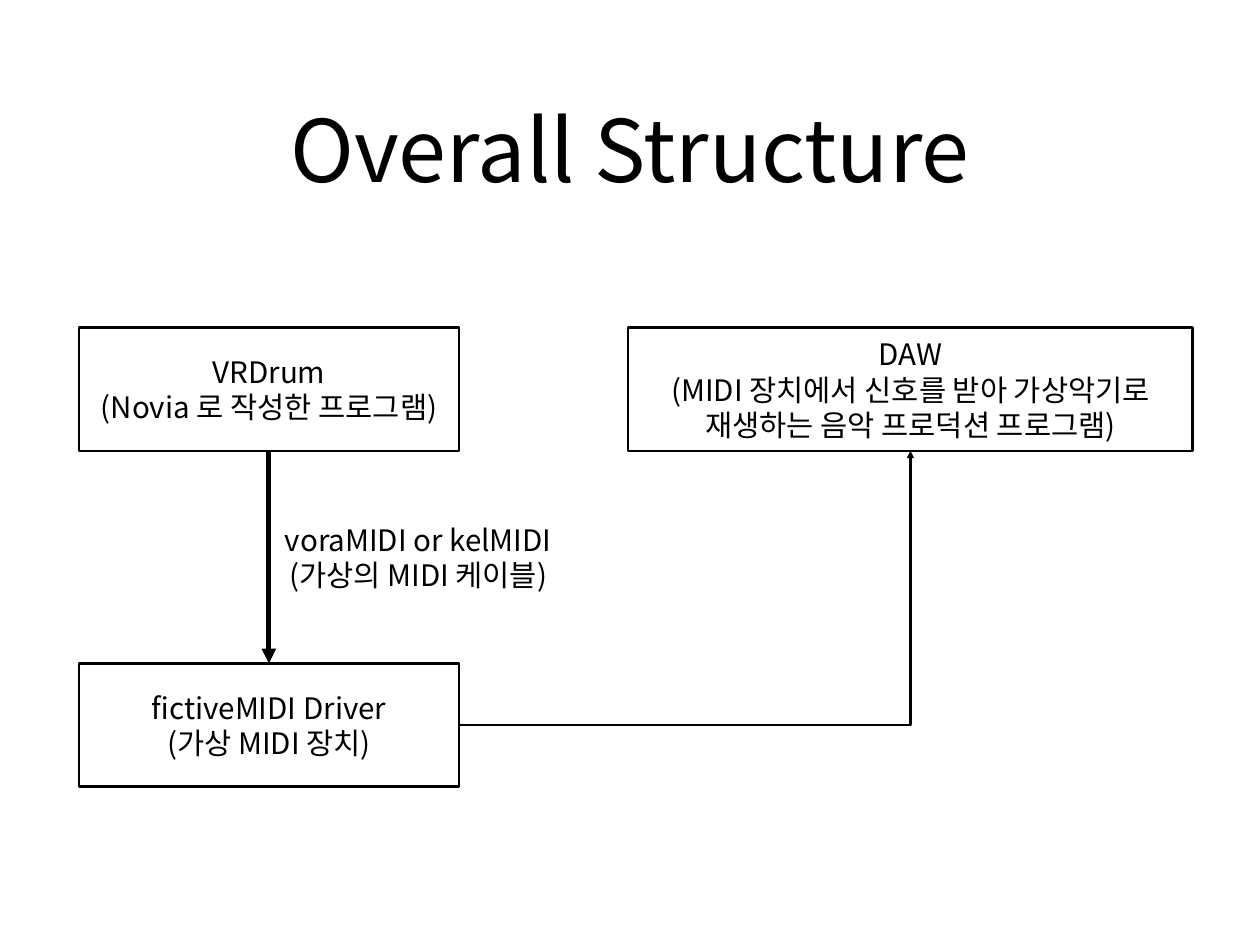
"""Build the Overall Structure slide: three boxes joined by arrows."""
import dataclasses

import lxml.etree
import pptx
import pptx.dml.color
import pptx.enum.shapes
import pptx.enum.text
import pptx.oxml.ns
import pptx.util

Inches = pptx.util.Inches
Pt = pptx.util.Pt
qn = pptx.oxml.ns.qn


@dataclasses.dataclass(frozen=True)
class Theme:
    font: str = "Noto Sans CJK KR"
    ink: pptx.dml.color.RGBColor = pptx.dml.color.RGBColor(0, 0, 0)
    paper: pptx.dml.color.RGBColor = pptx.dml.color.RGBColor(255, 255, 255)
    title_size: int = 70
    body_size: int = 24
    thin: int = 2
    thick: int = 4
    inset: float = 0.06


THEME = Theme()
TOP, BOTTOM = 0, 2
RIGHT = 3


def write(sp, lines, size):
    tf = sp.text_frame
    tf.word_wrap = True
    tf.vertical_anchor = pptx.enum.text.MSO_ANCHOR.MIDDLE
    tf.margin_left = tf.margin_right = Inches(THEME.inset)
    tf.margin_top = tf.margin_bottom = Inches(THEME.inset)
    for i, line in enumerate(lines):
        p = tf.add_paragraph() if i else tf.paragraphs[0]
        p.alignment = pptx.enum.text.PP_ALIGN.CENTER
        r = p.add_run()
        r.text = line
        r.font.size = Pt(size)
        r.font.name = THEME.font
        r.font.color.rgb = THEME.ink
        ea = lxml.etree.SubElement(r.font._element, qn("a:ea"))
        ea.set("typeface", THEME.font)


def add_label(s, x, y, w, h, lines, size=THEME.body_size):
    sp = s.shapes.add_textbox(Inches(x), Inches(y), Inches(w), Inches(h))
    write(sp, lines, size)


def add_box(s, x, y, w, lines):
    sp = s.shapes.add_shape(pptx.enum.shapes.MSO_SHAPE.RECTANGLE,
                            Inches(x), Inches(y), Inches(w), Inches(1.39))
    sp.shadow.inherit = False
    sp.fill.solid()
    sp.fill.fore_color.rgb = THEME.paper
    sp.line.color.rgb = THEME.ink
    sp.line.width = Pt(THEME.thin)
    write(sp, lines, THEME.body_size)
    return sp


def add_arrow(s, start, start_site, end, end_site, width, bent=False):
    kind = pptx.enum.shapes.MSO_CONNECTOR
    cxn = s.shapes.add_connector(kind.ELBOW if bent else kind.STRAIGHT, 0, 0, 0, 0)
    cxn.begin_connect(start, start_site)
    cxn.end_connect(end, end_site)
    cxn.line.color.rgb = THEME.ink
    cxn.line.width = Pt(width)
    spPr = cxn._element.spPr
    if bent:
        spPr.find(qn("a:prstGeom")).set("prst", "bentConnector2")
    tail = lxml.etree.SubElement(spPr.find(qn("a:ln")), qn("a:tailEnd"))
    tail.set("type", "triangle")
    lxml.etree.SubElement(spPr, qn("a:effectLst"))


def main():
    prs = pptx.Presentation()
    prs.slide_width, prs.slide_height = Inches(14.22), Inches(10.67)
    s = prs.slides.add_slide(prs.slide_layouts[6])

    add_label(s, 0.17, 0.49, 13.88, 2.36, ["Overall Structure"], THEME.title_size)
    drum = add_box(s, 0.89, 3.7, 4.29, ["VRDrum", "(Novia 로 작성한 프로그램)"])
    daw = add_box(s, 7.09, 3.7, 6.37, [
        "DAW", "(MIDI 장치에서 신호를 받아 가상악기로 재생하는 음악 프로덕션 프로그램)"])
    driver = add_box(s, 0.89, 7.49, 4.29, ["fictiveMIDI Driver", "(가상 MIDI 장치)"])
    add_label(s, 2.83, 5.83, 3.78, 0.92,
              ["voraMIDI or kelMIDI", "(가상의 MIDI 케이블)"])
    add_arrow(s, drum, BOTTOM, driver, TOP, THEME.thick)
    add_arrow(s, driver, RIGHT, daw, BOTTOM, THEME.thin, bent=True)

    prs.save("out.pptx")


if __name__ == "__main__":
    main()
